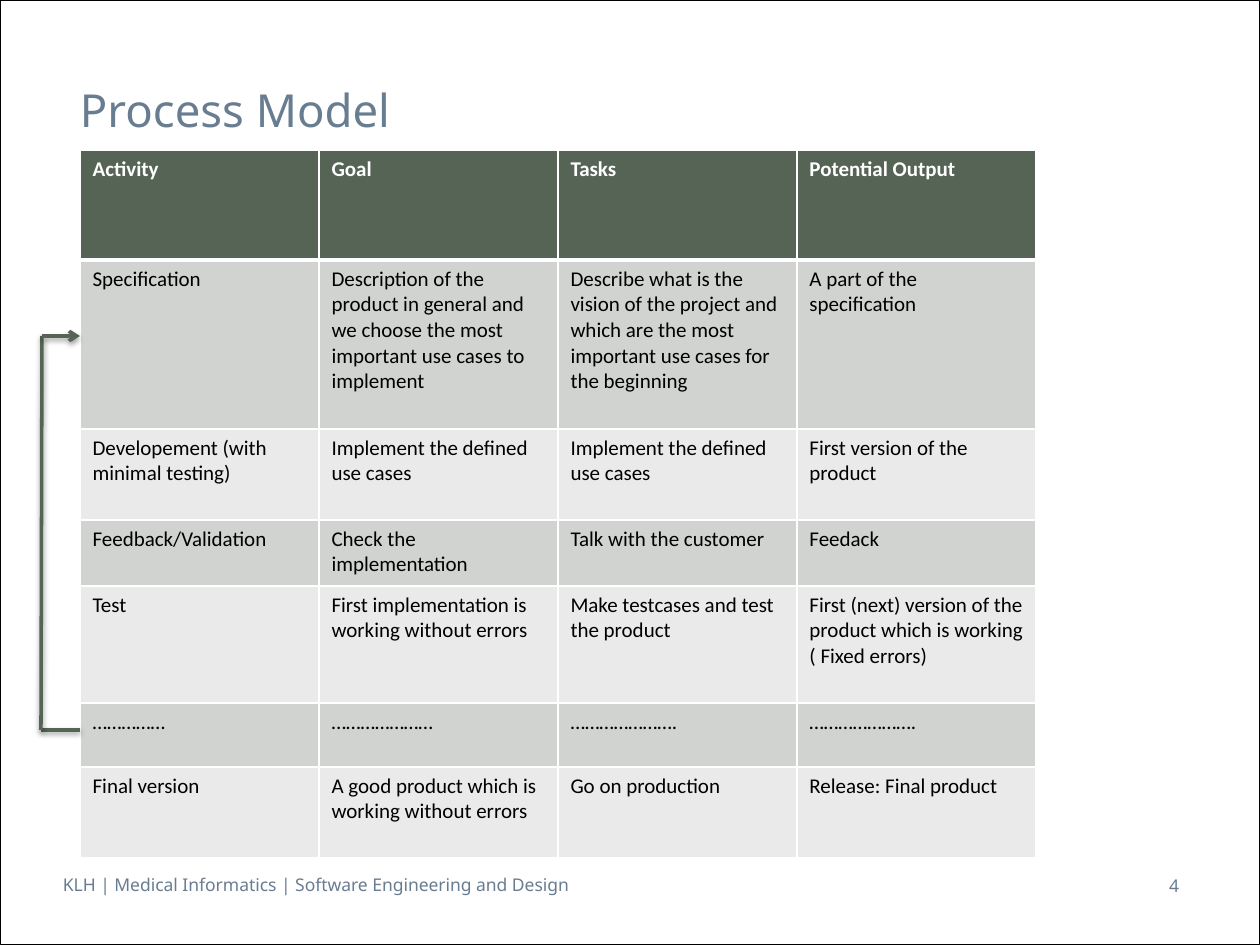
from lxml.etree import SubElement
from pptx import Presentation
from pptx.dml.color import RGBColor
from pptx.enum.shapes import MSO_CONNECTOR, MSO_SHAPE
from pptx.enum.text import MSO_ANCHOR, PP_ALIGN
from pptx.oxml import parse_xml
from pptx.oxml.ns import nsdecls, qn
from pptx.util import Emu, Pt

COLORS = {
    "heading": "697D91",
    "header": "556455",
    "odd": "D1D3D1",
    "even": "E9EAE9",
    "white": "FFFFFF",
    "black": "000000",
}
PAGE_WIDTH, PAGE_HEIGHT = 1260, 945
TABLE_LEFT, TABLE_TOP = 80, 150
COLUMN_WIDTH = 239
ROW_HEIGHTS = [110, 169, 91, 66, 117, 64, 91]
ROWS = [
    ("Activity", "Goal", "Tasks", "Potential Output"),
    ("Specification",
     "Description of the product in general and we choose the most important use cases to implement",
     "Describe what is the vision of the project and which are the most important use cases for the beginning",
     "A part of the specification"),
    ("Developement (with minimal testing)", "Implement the defined use cases",
     "Implement the defined use cases", "First version of the product"),
    ("Feedback/Validation", "Check the implementation", "Talk with the customer", "Feedack"),
    ("Test", "First implementation is working without errors",
     "Make testcases and test the product",
     "First (next) version of the product which is working ( Fixed errors)"),
    ("……………", "…………………", "………………….", "…………………."),
    ("Final version", "A good product which is working without errors",
     "Go on production", "Release: Final product"),
]


def px(length):
    return Emu(round(length * 914400 / 126))


def color(name):
    return RGBColor.from_string(COLORS[name])


def style_font(font, name, size, color_name, bold=False):
    font.name = name
    font.size = Pt(size)
    font.bold = bold
    font.color.rgb = color(color_name)


def add_text(page, text, box, size, align=PP_ALIGN.LEFT, anchor=MSO_ANCHOR.TOP):
    frame = page.shapes.add_textbox(*map(px, box)).text_frame
    frame.word_wrap = True
    frame.vertical_anchor = anchor
    frame.margin_left = frame.margin_right = 0
    para = frame.paragraphs[0]
    para.text = text
    para.alignment = align
    style_font(para.font, "Noto Sans", size, "heading")


def add_page_frame(page):
    frame = page.shapes.add_shape(MSO_SHAPE.RECTANGLE, 0, 0, px(PAGE_WIDTH), px(PAGE_HEIGHT))
    frame.shadow.inherit = False
    frame.fill.background()
    frame.line.color.rgb = color("black")
    frame.line.width = Pt(0.5)


def set_borders(cell, bottom_width):
    properties = cell._tc.get_or_add_tcPr()
    for side, width in (("L", 1), ("R", 1), ("T", 1), ("B", bottom_width)):
        border = SubElement(properties, qn(f"a:ln{side}"), w=str(Pt(width)))
        fill = SubElement(border, qn("a:solidFill"))
        SubElement(fill, qn("a:srgbClr"), val=COLORS["white"])


def add_process_table(page):
    columns = len(ROWS[0])
    table = page.shapes.add_table(
        len(ROWS), columns, px(TABLE_LEFT), px(TABLE_TOP),
        px(COLUMN_WIDTH * columns), px(sum(ROW_HEIGHTS))).table
    for column in table.columns:
        column.width = px(COLUMN_WIDTH)
    for number, (texts, height) in enumerate(zip(ROWS, ROW_HEIGHTS)):
        table.rows[number].height = px(height)
        is_header = number == 0
        fill_name = "header" if is_header else ("even", "odd")[number % 2]
        for cell, text in zip(table.rows[number].cells, texts):
            cell.text = text
            style_font(cell.text_frame.paragraphs[0].font, "Calibri", 12,
                       "white" if is_header else "black", is_header)
            set_borders(cell, 3 if is_header else 1)
            cell.fill.solid()
            cell.fill.fore_color.rgb = color(fill_name)


def add_loop_line(page, start, end, arrow=False):
    line = page.shapes.add_connector(MSO_CONNECTOR.STRAIGHT, *map(px, start + end))
    line.line.color.rgb = color("header")
    line.line.width = Pt(2)
    if arrow:
        SubElement(line.line._ln, qn("a:tailEnd"), type="arrow")
    line._element.spPr.append(parse_xml(
        f'<a:effectLst {nsdecls("a")}>'
        f'<a:outerShdw blurRad="{Pt(3.1)}" dist="{Pt(1.6)}" dir="5400000" rotWithShape="0">'
        f'<a:srgbClr val="{COLORS["black"]}"><a:alpha val="38000"/></a:srgbClr>'
        '</a:outerShdw></a:effectLst>'))


def add_feedback_loop(page):
    """Lead from the repeat row back to the specification row."""
    top_left, top_right = (42, 336), (TABLE_LEFT, 336)
    bottom_left, bottom_right = (41, 730), (TABLE_LEFT, 730)
    add_loop_line(page, bottom_right, bottom_left)
    add_loop_line(page, top_left, bottom_left)
    add_loop_line(page, top_left, top_right, arrow=True)


def main():
    deck = Presentation()
    deck.slide_width, deck.slide_height = px(PAGE_WIDTH), px(PAGE_HEIGHT)
    page = deck.slides.add_slide(deck.slide_layouts[6])
    add_text(page, "KLH | Medical Informatics | Software Engineering and Design",
             (63, 868, 921, 34), 10)
    add_page_frame(page)
    add_text(page, "Process Model", (80, 76, 1133, 74), 26)
    add_text(page, "4", (932, 861, 247, 50), 10, PP_ALIGN.RIGHT, MSO_ANCHOR.MIDDLE)
    add_process_table(page)
    add_feedback_loop(page)
    deck.save("out.pptx")


if __name__ == "__main__":
    main()
